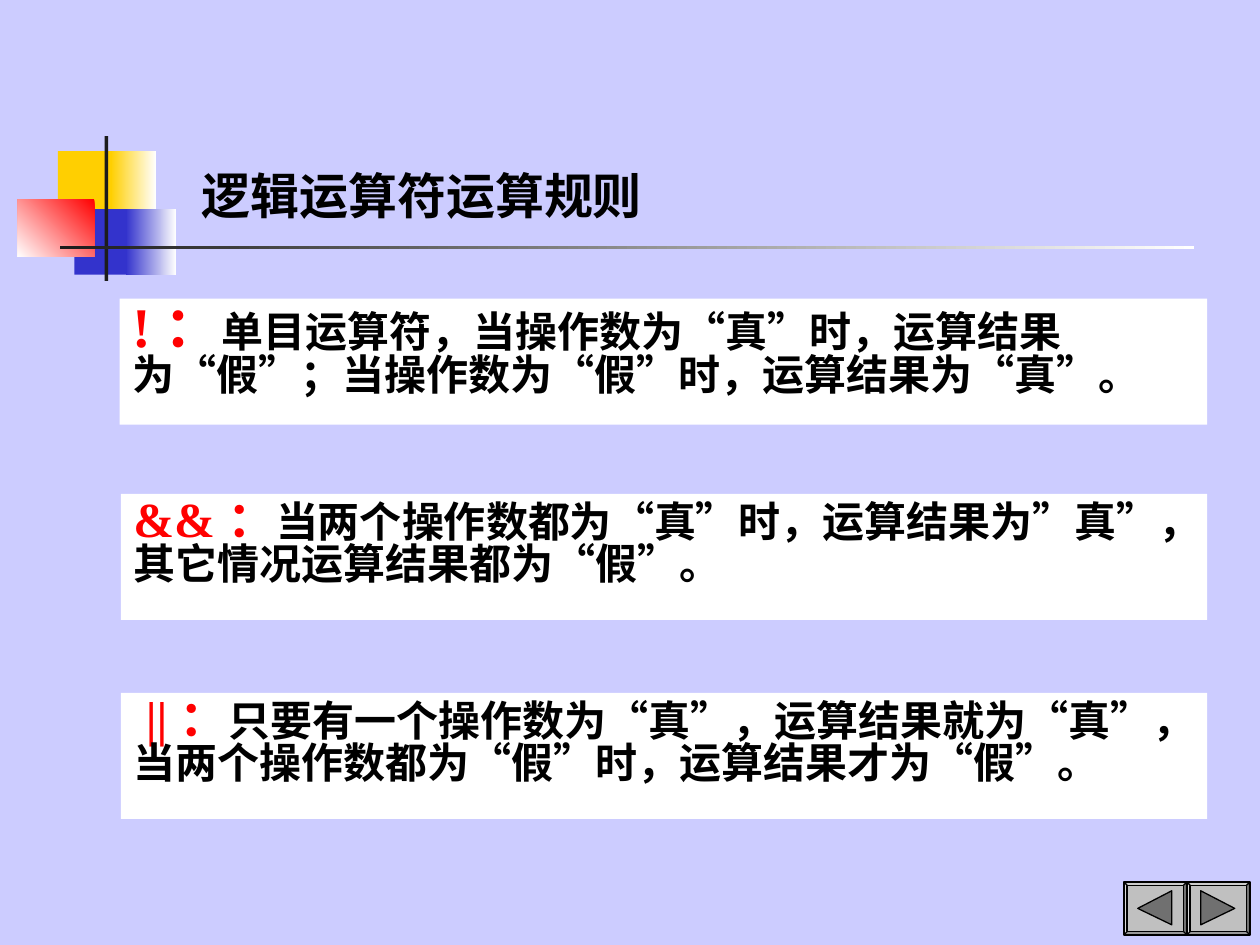
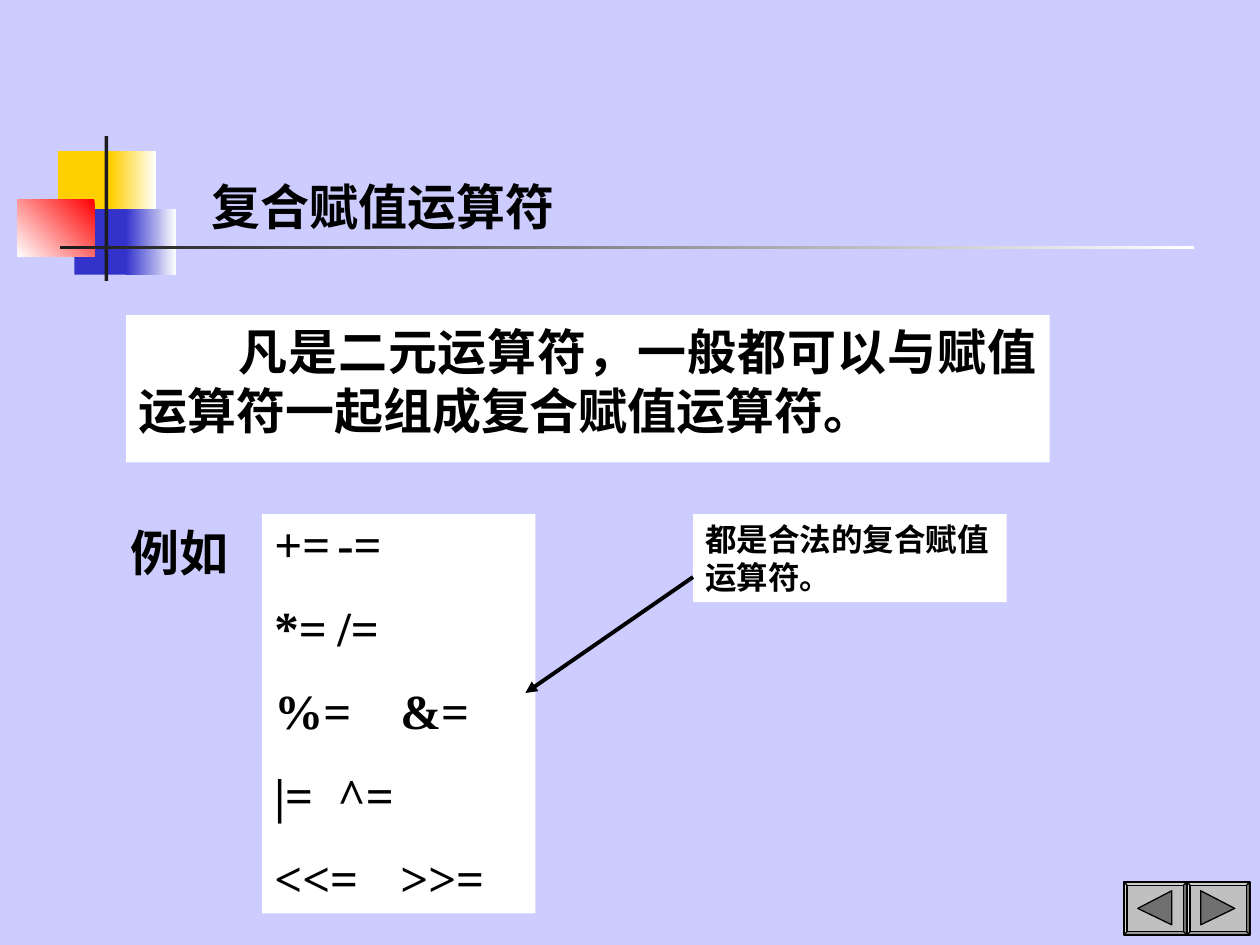
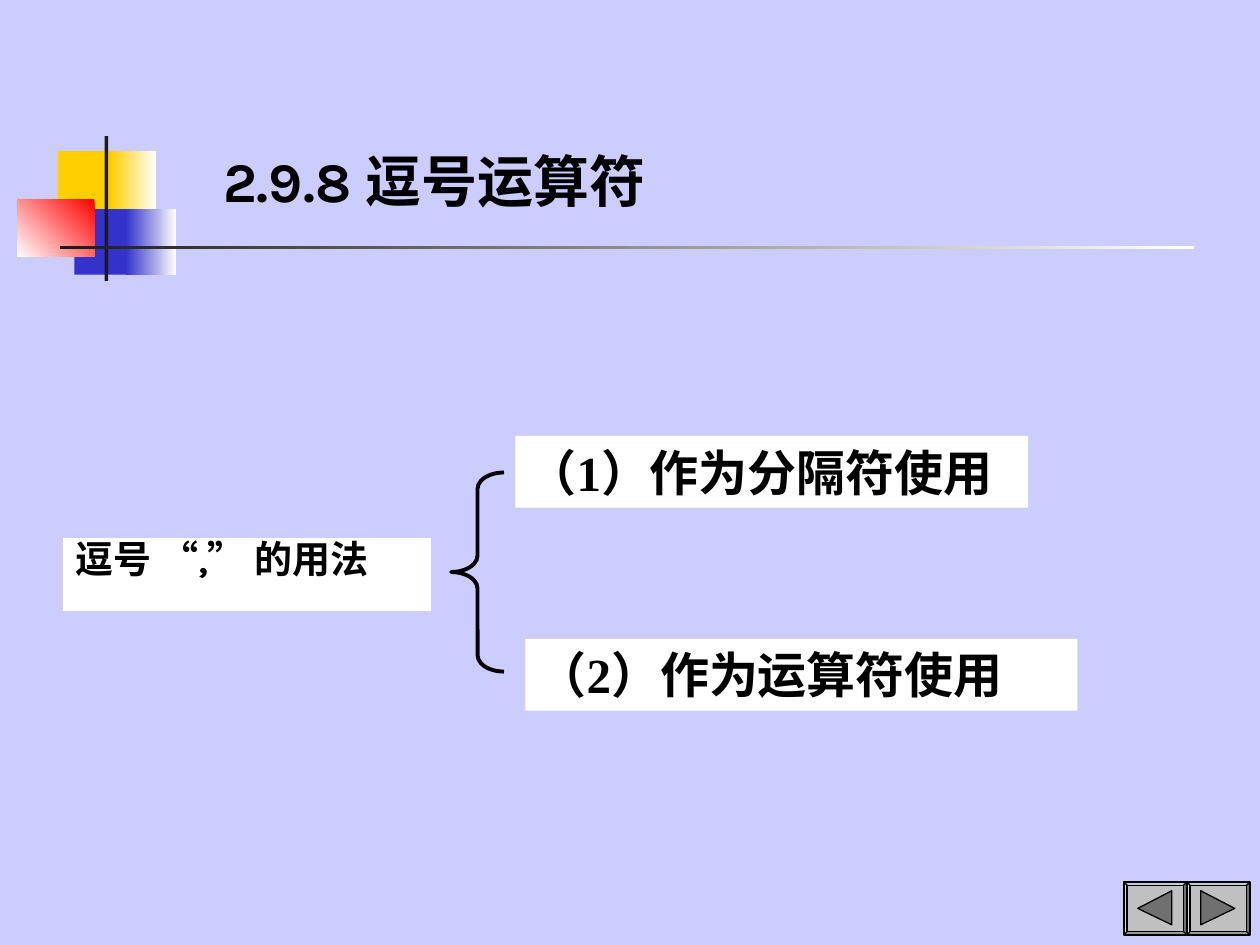
import dataclasses

import lxml.etree
import pptx
import pptx.dml.color
import pptx.enum.shapes
import pptx.enum.text
import pptx.oxml.ns
import pptx.util

SHAPE = pptx.enum.shapes.MSO_SHAPE
ALIGN = pptx.enum.text.PP_ALIGN
ANCHOR = pptx.enum.text.MSO_ANCHOR
qn = pptx.oxml.ns.qn


@dataclasses.dataclass(frozen=True)
class Theme:
    back: str = "CCCCFF"
    white: str = "FFFFFF"
    ink: str = "000000"
    red: str = "FF0000"
    gold: str = "FFCF01"
    blue: str = "3333CC"
    dark: str = "1C1C1C"
    grey: str = "C0C0C0"
    shade: str = "707070"
    serif: str = "Times New Roman"
    sans: str = "Noto Sans CJK SC"
    round: str = "Karla"
    large: float = 32
    head: float = 28
    text: float = 24
    small: float = 21.7
    note: float = 18
    thin: float = 0.75
    thick: float = 2.25


THEME = Theme()


def px(count):
    return pptx.util.Emu(count * 9144)


def rgb(code):
    return pptx.dml.color.RGBColor.from_string(code)


class Deck:
    def __init__(self, theme):
        self.theme = theme
        self.prs = pptx.Presentation()
        self.prs.slide_width, self.prs.slide_height = px(1000), px(750)
        self.paint(self.prs.slide_master.background.fill, theme.back)
        self.layout = self.prs.slide_layouts[1]
        for holder in list(self.layout.placeholders):
            if holder.placeholder_format.idx >= 10:
                self.layout.shapes.element.remove(holder.element)
        self.slide = None

    def paint(self, fill, code):
        fill.solid()
        fill.fore_color.rgb = rgb(code)

    def place(self, shape, at):
        shape.left, shape.top, shape.width, shape.height = map(px, at)

    def page(self, at, runs):
        self.slide = self.prs.slides.add_slide(self.layout)
        title = self.slide.shapes.title
        self.place(title, at)
        self.letter(title, [runs])
        title.text_frame.vertical_anchor = ANCHOR.BOTTOM

    def body(self, at, runs, **style):
        shape = self.slide.placeholders[1]
        self.place(shape, at)
        self.paint(shape.fill, self.theme.white)
        self.letter(shape, [runs], **style)

    def label(self, at, lines, fill=True, **style):
        shape = self.slide.shapes.add_textbox(*map(px, at))
        if fill:
            self.paint(shape.fill, self.theme.white)
        self.letter(shape, lines, **style)

    def letter(self, shape, lines, align=ALIGN.LEFT, pitch=1.0, gap=0,
               indent=0, tab=None, wrap=True):
        frame = shape.text_frame
        frame.word_wrap = wrap
        frame.auto_size = pptx.enum.text.MSO_AUTO_SIZE.NONE
        frame.vertical_anchor = ANCHOR.TOP
        for order, runs in enumerate(lines):
            para = frame.add_paragraph() if order else frame.paragraphs[0]
            para.alignment = align
            para.line_spacing = pitch
            para.space_before = pptx.util.Pt(gap if order else 0)
            props = para._p.get_or_add_pPr()
            props.set("marL", "0")
            props.set("indent", str(px(indent)))
            lxml.etree.SubElement(props, qn("a:buNone"))
            if tab:
                stops = lxml.etree.SubElement(props, qn("a:tabLst"))
                lxml.etree.SubElement(stops, qn("a:tab"), pos=str(px(tab)), algn="l")
            for words, size, face, code in runs:
                run = para.add_run()
                run.text = words
                run.font.size = pptx.util.Pt(size)
                run.font.bold = True
                run.font.color.rgb = rgb(code)
                run.font.name = face
                lxml.etree.SubElement(run._r.get_or_add_rPr(), qn("a:ea"),
                                      typeface=self.theme.sans)

    def shape(self, kind, at, fill=None, line=None, width=0):
        shape = self.slide.shapes.add_shape(kind, *map(px, at))
        self.dress(shape, fill, line, width)
        return shape

    def dress(self, shape, fill, line, width):
        shape.shadow.inherit = False
        if fill:
            self.paint(shape.fill, fill)
        else:
            shape.fill.background()
        if line:
            shape.line.color.rgb = rgb(line)
            shape.line.width = pptx.util.Pt(width)
        else:
            shape.line.fill.background()

    def fade(self, at, first, last, angle=180):
        fill = self.shape(SHAPE.RECTANGLE, at).fill
        fill.gradient()
        fill.gradient_angle = angle
        for stop, code in zip(fill.gradient_stops, (first, last)):
            stop.color.rgb = rgb(code)

    def button(self, left, points):
        theme = self.theme
        bevel = self.shape(SHAPE.BEVEL, (left, 700, 50, 42), theme.grey,
                           theme.ink, theme.thin)
        bevel.adjustments[0] = 0.06
        (x, y), *rest = [(left + x, y) for x, y in points]
        wedge = self.slide.shapes.build_freeform(x, y, scale=px(1))
        wedge.add_line_segments(rest, close=True)
        self.dress(wedge.convert_to_shape(), theme.shade, theme.ink, theme.thin)

    def arrow(self, start, end):
        kind = pptx.enum.shapes.MSO_CONNECTOR.STRAIGHT
        line = self.slide.shapes.add_connector(kind, *map(px, start + end))
        line.line.color.rgb = rgb(self.theme.ink)
        line.line.width = pptx.util.Pt(self.theme.thick)
        props = line.element.spPr
        lxml.etree.SubElement(props.find(qn("a:ln")), qn("a:tailEnd"), type="triangle")
        lxml.etree.SubElement(props, qn("a:effectLst"))

    def brace(self, at):
        shape = self.shape(SHAPE.LEFT_BRACE, at, None, self.theme.ink, self.theme.thick)
        shape.adjustments[0] = 0.31

    def share(self):
        theme = self.theme
        self.shape(SHAPE.RECTANGLE, (46, 120, 48, 52), theme.gold)
        self.fade((88, 120, 36, 52), theme.white, theme.gold)
        self.shape(SHAPE.RECTANGLE, (59, 166, 46, 52), theme.blue)
        self.fade((100, 166, 40, 52), theme.white, theme.blue)
        self.fade((14, 158, 61, 46), theme.red, theme.white, 225)
        self.shape(SHAPE.RECTANGLE, (83, 108, 3, 115), theme.dark)
        self.fade((48, 195, 900, 3), theme.white, theme.dark)
        self.button(942, [(11, 707), (38, 721), (11, 734)])
        self.button(892, [(11, 721), (38, 707), (38, 734)])
        for shape in list(self.slide.shapes):
            if not shape.is_placeholder:
                self.layout.shapes.element.append(shape.element)


def bold(words, size=THEME.head, face=THEME.serif, code=THEME.ink):
    return words, size, face, code


def logic(deck):
    theme = deck.theme
    deck.page((150, 133, 417, 50), [bold("逻辑运算符运算规则", face=theme.sans)])
    deck.share()
    deck.body((95, 237, 863, 100), [
        bold("! ", theme.large, code=theme.red),
        bold("：", theme.large, theme.sans, theme.red),
        bold("单目运算符，当操作数为“真”时，运算结果为“假”；"
             "当操作数为“假”时，运算结果为“真”。", theme.text, theme.sans),
    ], pitch=0.8)
    rules = [
        (392, 0, "&& ：", "当两个操作数都为“真”时，运算结果为”真”，其它情况运算结果都为“假”。"),
        (550, 10, "|| ：", "只要有一个操作数为“真”，运算结果就为“真”，"
                           "当两个操作数都为“假”时，运算结果才为“假”。"),
    ]
    for top, indent, sign, words in rules:
        deck.label((96, top, 862, 100), [[
            bold(sign, code=theme.red), bold(words, theme.text, theme.sans),
        ]], pitch=0.8, indent=indent)


def assign(deck):
    deck.page((158, 117, 357, 75), [bold("复合赋值运算符")])
    deck.body((100, 250, 733, 117),
              [bold("凡是二元运算符，一般都可以与赋值运算符一起组成复合赋值运算符。")],
              align=ALIGN.JUSTIFY, indent=79)
    deck.label((550, 408, 249, 70),
               [[bold("都是合法的复合赋值运算符。", deck.theme.note)]])
    pairs = [("+=", "-="), ("*=", "/="), ("%=", "&="), ("|=", "^="), ("<<=", ">>=")]
    deck.label((208, 408, 217, 317), [[bold("\t".join(pair))] for pair in pairs],
               pitch=0.9, gap=17.5, tab=127)
    deck.label((94, 410, 97, 57), [[bold("例如")]], fill=False, wrap=False)
    deck.arrow((550, 458), (417, 550))


def comma(deck):
    theme = deck.theme
    deck.page((167, 117, 408, 58), [
        bold("2.9.8 ", theme.large, theme.round),
        bold("逗号运算符", theme.large, theme.sans),
    ])
    deck.body((50, 427, 292, 58), [
        bold("逗号 “", theme.small),
        bold(",", theme.small, theme.round),
        bold("” 的用法", theme.small),
    ], align=ALIGN.JUSTIFY, pitch=0.8)
    deck.label((409, 346, 407, 57), [[bold("（1）作为分隔符使用")]], wrap=False)
    deck.label((417, 507, 438, 57), [[bold("（2）作为运算符使用")]])
    deck.brace((358, 375, 42, 158))


def main():
    deck = Deck(THEME)
    for build in (logic, assign, comma):
        build(deck)
    deck.prs.save("out.pptx")


if __name__ == "__main__":
    main()
